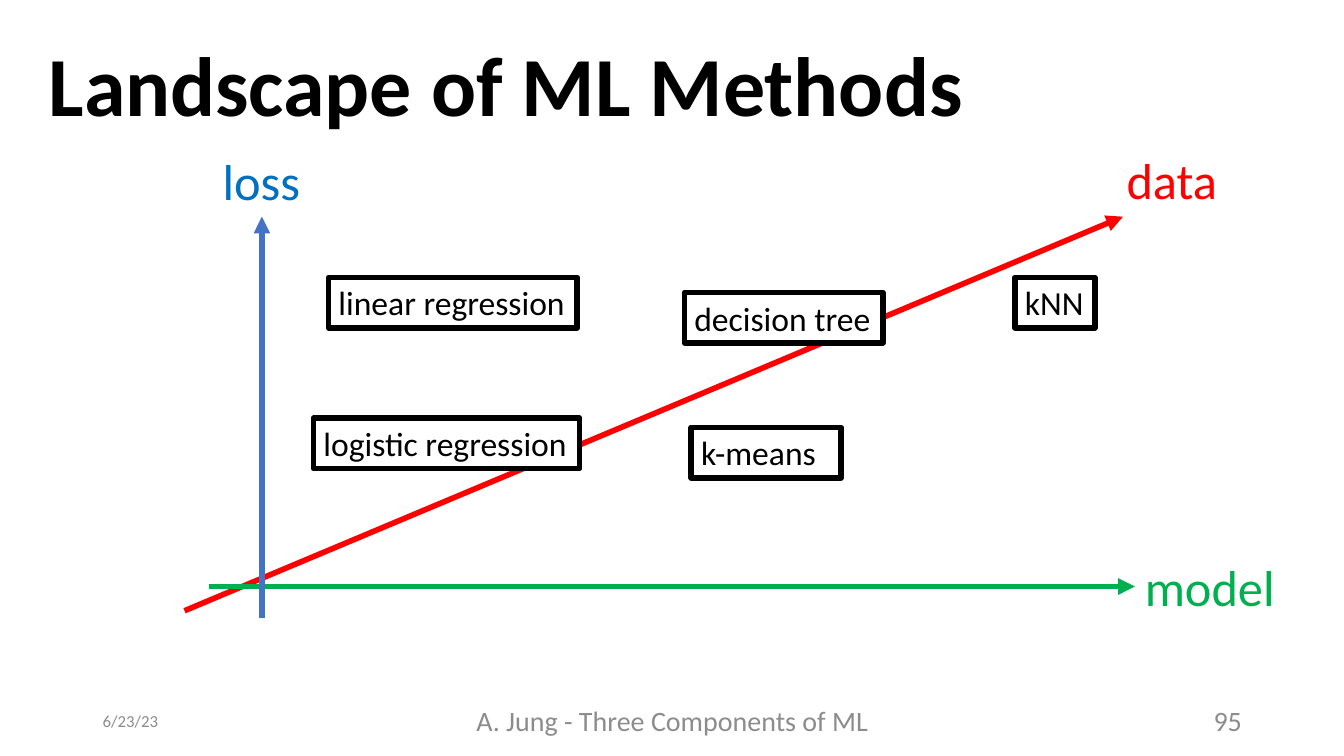
"""Build the slide that places ML methods along loss, data and model axes."""
import pptx
import pptx.dml.color
import pptx.enum.shapes
import pptx.enum.text
import pptx.oxml
import pptx.oxml.ns
import pptx.util

Cm = pptx.util.Cm
Pt = pptx.util.Pt
RGB = pptx.dml.color.RGBColor
ALIGN = pptx.enum.text.PP_ALIGN
ANCHOR = pptx.enum.text.MSO_ANCHOR
FIT = pptx.enum.text.MSO_AUTO_SIZE

BLACK = RGB(0x00, 0x00, 0x00)
WHITE = RGB(0xFF, 0xFF, 0xFF)
RED = RGB(0xFF, 0x00, 0x00)
GREEN = RGB(0x00, 0xB0, 0x50)
AZURE = RGB(0x00, 0x70, 0xC0)
BLUE = RGB(0x44, 0x72, 0xC4)
GRAY = RGB(0x8C, 0x8C, 0x8C)

TITLE = "Landscape of ML Methods"
LABELS = [
    ("model", 28.6, 13.88, 3.81, GREEN),
    ("data", 28.14, 3.63, 2.82, RED),
    ("loss", 5.36, 3.66, 2.48, AZURE),
]
AXES = [
    ((4.65, 15.39), (28.3, 5.46), RED, None),
    ((5.26, 14.78), (28.6, 14.78), GREEN, ("model", 1)),
    ((6.6, 15.57), (6.6, 5.46), BLUE, ("loss", 2)),
]
METHODS = [
    ("linear regression", 8.28, 6.99, 6.27, None, False),
    ("logistic regression", 7.9, 10.54, 6.71, WHITE, False),
    ("decision tree", 17.25, 7.37, 5.0, WHITE, False),
    ("k-means", 17.42, 10.77, 3.78, None, True),
    ("kNN", 25.58, 6.99, 2.01, None, False),
]
FOOTER = [
    ("6/23/23", 2.34, 7.62, 12, ALIGN.LEFT),
    ("A. Jung - Three Components of ML", 11.23, 11.43, 20, ALIGN.CENTER),
    ("95", 23.93, 7.62, 20, ALIGN.RIGHT),
]


def assign(target, values):
    """Set each attribute named in values."""
    for name, value in values.items():
        setattr(target, name, value)


def write(shape, text, size, color, align=ALIGN.LEFT, bold=False, **frame):
    """Put one formatted line of text into a shape."""
    assign(shape.text_frame, frame)
    line = shape.text_frame.paragraphs[0]
    line.text = text
    line.alignment = align
    assign(line.font, {"name": "Calibri", "size": Pt(size), "bold": bold})
    line.font.color.rgb = color
    return line


def add_axis(shapes, start, end, color, join, names):
    """Draw an arrow, joined to its label where they meet."""
    kind = pptx.enum.shapes.MSO_CONNECTOR.STRAIGHT
    axis = shapes.add_connector(kind, *map(Cm, start + end))
    if join:
        axis.end_connect(names[join[0]], join[1])
    axis.line.width = Pt(4)
    axis.line.color.rgb = color
    space = pptx.oxml.ns.nsdecls("a")
    parse = pptx.oxml.parse_xml
    axis.line._get_or_add_ln().append(parse(f'<a:tailEnd {space} type="triangle"/>'))
    axis._element.spPr.append(parse(f"<a:effectLst {space}/>"))


def add_method(shapes, text, left, top, width, fill, wrap):
    """Draw a framed method name."""
    kind = pptx.enum.shapes.MSO_SHAPE.RECTANGLE
    box = shapes.add_shape(kind, Cm(left), Cm(top), Cm(width), Cm(1.27))
    box.shadow.inherit = False
    if fill is None:
        box.fill.background()
    else:
        box.fill.solid()
        box.fill.fore_color.rgb = fill
    box.line.width = Pt(4)
    box.line.color.rgb = BLACK
    write(box, text, 24, BLACK, word_wrap=wrap,
          auto_size=FIT.SHAPE_TO_FIT_TEXT, vertical_anchor=ANCHOR.TOP)


def main():
    """Compose and save the slide."""
    deck = pptx.Presentation()
    assign(deck, {"slide_width": Cm(33.87), "slide_height": Cm(19.05)})
    shapes = deck.slides.add_slide(deck.slide_layouts[5]).shapes

    title = shapes.title
    assign(title, {"left": Cm(0.97), "top": Cm(0.25),
                   "width": Cm(32.89), "height": Cm(3.99)})
    head = write(title, TITLE, 60, BLACK, bold=True,
                 vertical_anchor=ANCHOR.MIDDLE, word_wrap=True)
    head.line_spacing = 0.9

    names = {}
    for text, left, top, width, color in LABELS:
        names[text] = shapes.add_textbox(Cm(left), Cm(top), Cm(width), Cm(1.8))
        write(names[text], text, 36, color, word_wrap=False,
              auto_size=FIT.SHAPE_TO_FIT_TEXT)
    for axis in AXES:
        add_axis(shapes, *axis, names)
    for method in METHODS:
        add_method(shapes, *method)
    for text, left, width, size, align in FOOTER:
        note = shapes.add_textbox(Cm(left), Cm(17.65), Cm(width), Cm(1.02))
        write(note, text, size, GRAY, align, word_wrap=True,
              vertical_anchor=ANCHOR.MIDDLE)
    deck.save("out.pptx")


if __name__ == "__main__":
    main()
